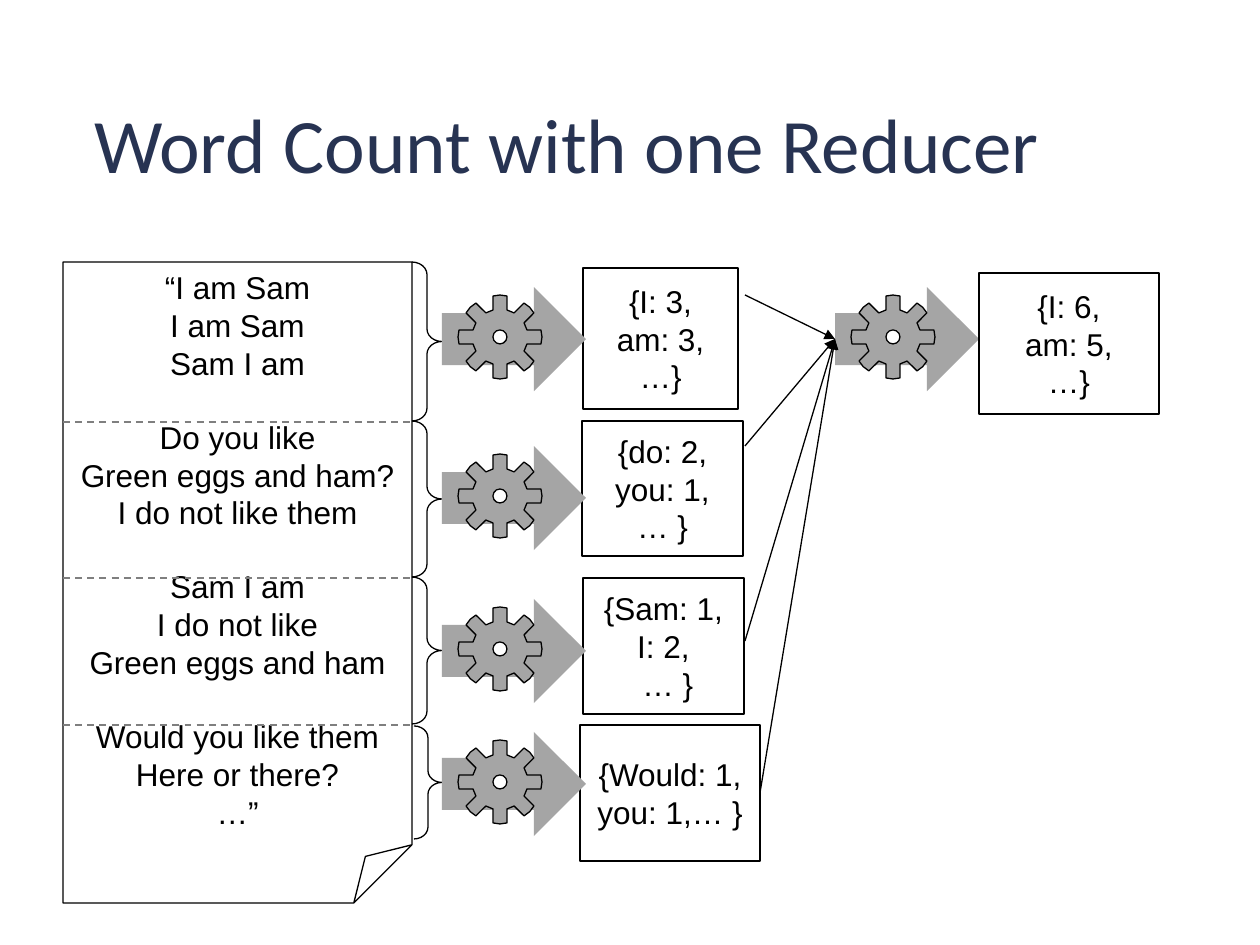
from math import cos, pi, sin

from pptx import Presentation
from pptx.dml.color import RGBColor
from pptx.enum.dml import MSO_LINE_DASH_STYLE as DASH
from pptx.enum.shapes import MSO_CONNECTOR, MSO_SHAPE as SHAPE
from pptx.enum.text import MSO_ANCHOR as ANCHOR, PP_ALIGN as ALIGN
from pptx.oxml.ns import qn
from pptx.util import Pt
from lxml.etree import SubElement

EMU_PER_PX = 914400 / 126
COLORS = {"title": "273352", "ink": "000000", "dash": "7F7F7F",
          "gear": "A5A5A5", "hub": "FFFFFF"}
LINE_HEIGHT = Pt(20.7)

# Each split of the document: text, brace box, top of its mapper, result box and lines
SPLITS = [
    (["“I am Sam", "I am Sam", "Sam I am"], (412, 262, 30, 159), 287,
     (583, 268, 155, 141), ["{I: 3,", "am: 3,", "…}"]),
    (["Do you like", "Green eggs and ham?", "I do not like them"], (412, 421, 30, 156), 446,
     (582, 421, 161, 135), ["{do: 2,", "you: 1,", "… }"]),
    (["Sam I am", "I do not like", "Green eggs and ham"], (412, 577, 30, 147), 599,
     (583, 578, 161, 136), ["{Sam: 1,", "I: 2,", " … }"]),
    (["Would you like them", "Here or there?", "…”"], (414, 726, 28, 113), 732,
     (580, 725, 180, 136), ["{Would: 1, you: 1,… }"]),
]
EDGE_STARTS = [(745, 295), (745, 446), (745, 641), (760, 793)]


def px(value):
    return round(value * EMU_PER_PX)


def rgb(name):
    return RGBColor.from_string(COLORS[name])


def style(shape, fill=None, line="ink"):
    shape.shadow.inherit = False
    if fill:
        shape.fill.solid()
        shape.fill.fore_color.rgb = rgb(fill)
    else:
        shape.fill.background()
    if line:
        shape.line.color.rgb = rgb(line)
        shape.line.width = Pt(0.75)
    else:
        shape.line.fill.background()


def add_shape(slide, kind, box, fill=None, line="ink"):
    shape = slide.shapes.add_shape(kind, *map(px, box))
    style(shape, fill, line)
    return shape


def add_line(slide, start, end, color="ink", width=0.75):
    line = slide.shapes.add_connector(MSO_CONNECTOR.STRAIGHT, *map(px, start + end))
    line.line.color.rgb = rgb(color)
    line.line.width = Pt(width)
    SubElement(line._element.spPr, qn("a:effectLst"))
    return line


def write_lines(shape, lines, anchor):
    frame = shape.text_frame
    frame.word_wrap = True
    frame.vertical_anchor = anchor
    frame.text = "\n".join(lines)
    for paragraph in frame.paragraphs:
        paragraph.alignment = ALIGN.CENTER
        paragraph.font.name = "Arial"
        paragraph.font.size = Pt(18)
        paragraph.font.color.rgb = rgb("ink")
    return frame.paragraphs


def add_title(slide, box):
    title = slide.shapes.title
    title.left, title.top, title.width, title.height = map(px, box)
    title.text_frame.text = "Word Count with one Reducer"
    title.text_frame.vertical_anchor = ANCHOR.BOTTOM
    paragraph = title.text_frame.paragraphs[0]
    paragraph.alignment = ALIGN.CENTER
    paragraph.font.name = "Calibri"
    paragraph.font.size = Pt(44)
    paragraph.font.color.rgb = rgb("title")


def add_document(slide, box):
    left, top, width, height = box
    page = add_shape(slide, SHAPE.FOLDED_CORNER, box)
    stanzas = [split[0] for split in SPLITS]
    paragraphs = write_lines(page, sum(stanzas, []), ANCHOR.TOP)
    # One line of space sets each stanza apart
    for first in range(3, len(paragraphs), 3):
        paragraphs[first].space_before = LINE_HEIGHT
    for offset in (160, 316, 463):
        y = top + offset
        divider = add_line(slide, (left, y), (left + width, y), "dash", 1)
        divider.line.dash_style = DASH.DASH


def add_gear(slide, center_x, center_y):
    # Eight equal teeth, turned in steps: (distance from centre, side offset)
    tooth = [(27, -7), (41, -7), (42, 0), (41, 7), (27, 7)]
    points = []
    for index in range(8):
        angle = index * pi / 4
        points += [(px(center_x + out * cos(angle) - side * sin(angle)),
                    px(center_y + out * sin(angle) + side * cos(angle)))
                   for out, side in tooth]
    builder = slide.shapes.build_freeform(*points[0], scale=1.0)
    builder.add_line_segments(points[1:], close=True)
    style(builder.convert_to_shape(), "gear")
    add_shape(slide, SHAPE.OVAL, (center_x - 7, center_y - 7, 14, 14), "hub")


def add_worker(slide, left, top):
    add_shape(slide, SHAPE.RIGHT_ARROW, (left, top, 144, 104), "gear", None)
    add_gear(slide, left + 58, top + 50)


def add_result(slide, box, lines):
    write_lines(add_shape(slide, SHAPE.RECTANGLE, box), lines, ANCHOR.MIDDLE)


def add_mappers(slide, left):
    for _, brace_box, top, result_box, lines in SPLITS:
        brace = add_shape(slide, SHAPE.RIGHT_BRACE, brace_box)
        brace.adjustments[0] = 0.42
        add_result(slide, result_box, lines)
        add_worker(slide, left, top)


def add_reducer(slide, left, top):
    add_worker(slide, left, top)
    add_result(slide, (left + 144, top - 14, 180, 141), ["{I: 6,", "am: 5,", "…}"])
    for start in EDGE_STARTS:
        edge = add_line(slide, start, (left, top + 52))
        outline = edge._element.spPr.find(qn("a:ln"))
        SubElement(outline, qn("a:tailEnd"), type="triangle")


def main():
    presentation = Presentation()
    presentation.slide_width, presentation.slide_height = px(1260), px(945)
    slide = presentation.slides.add_slide(presentation.slide_layouts[5])
    add_title(slide, (0, 38, 1134, 157))
    add_document(slide, (63, 262, 349, 641))
    add_mappers(slide, 442)
    add_reducer(slide, 835, 287)
    presentation.save("out.pptx")


if __name__ == "__main__":
    main()
